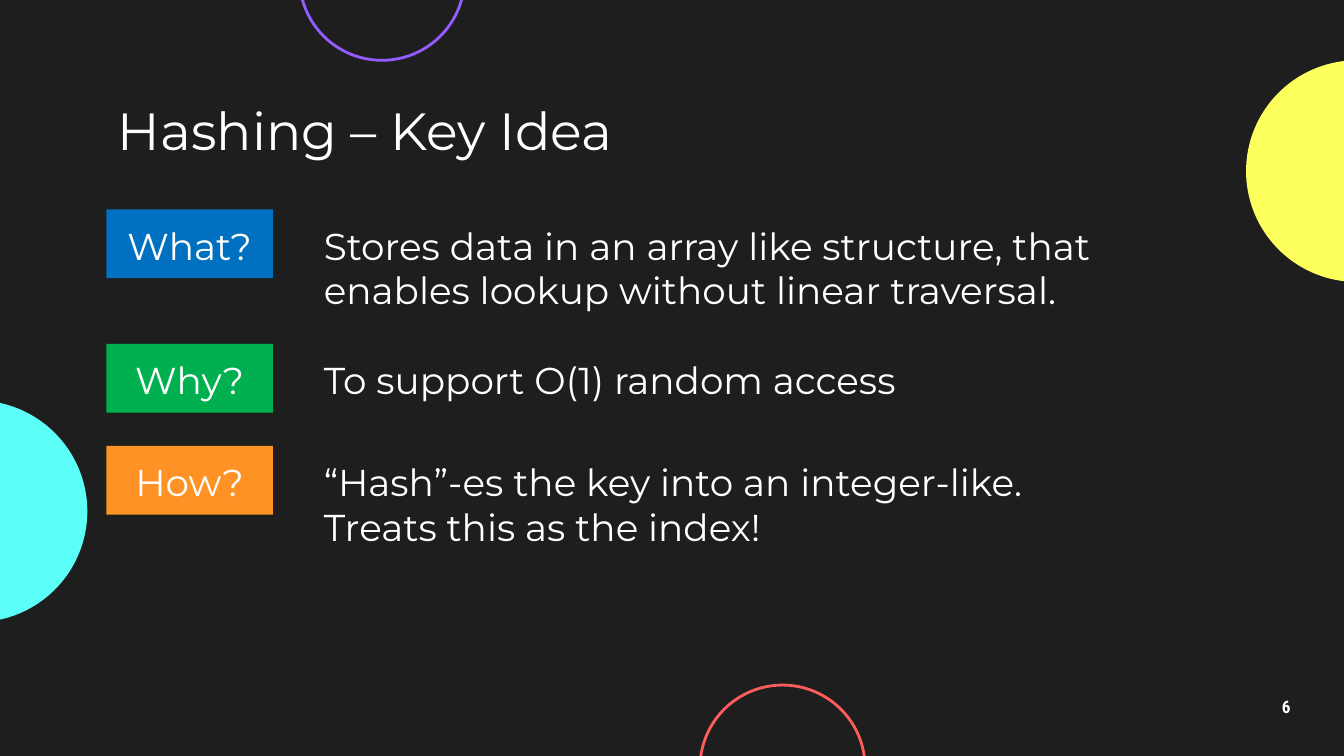
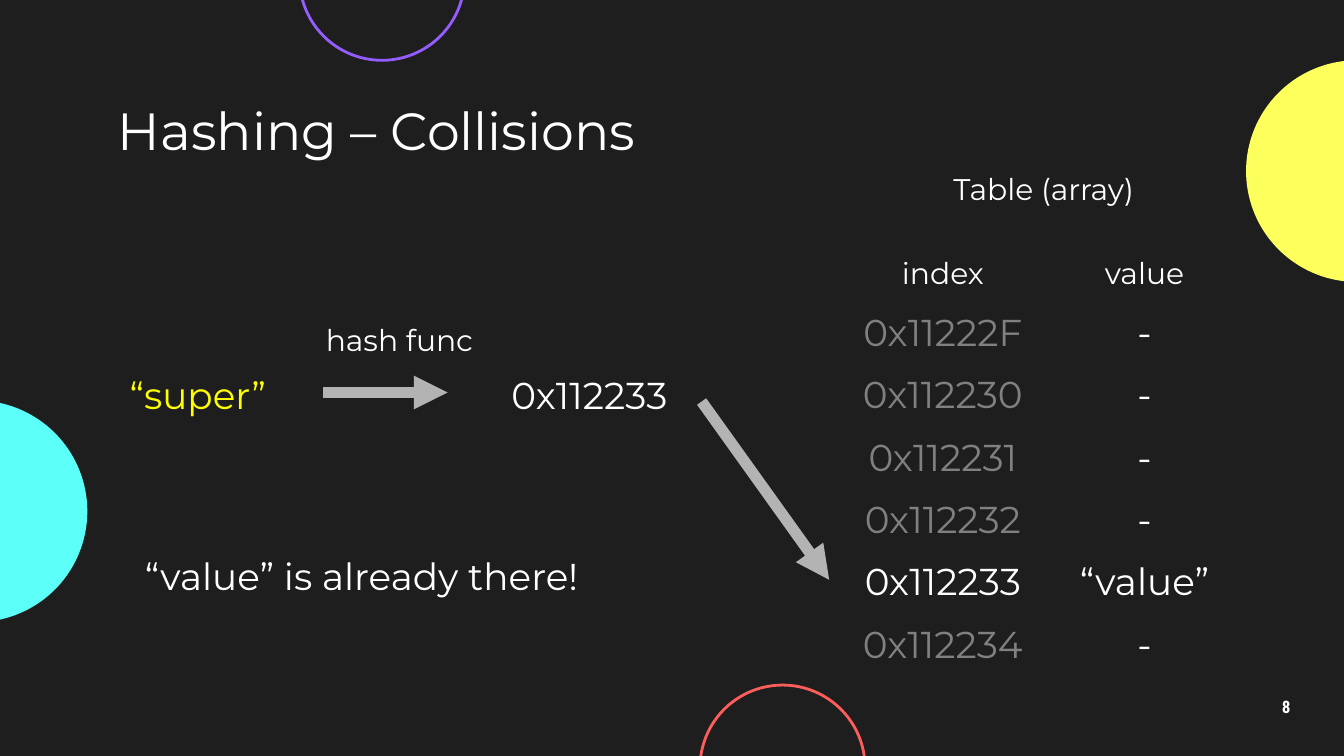
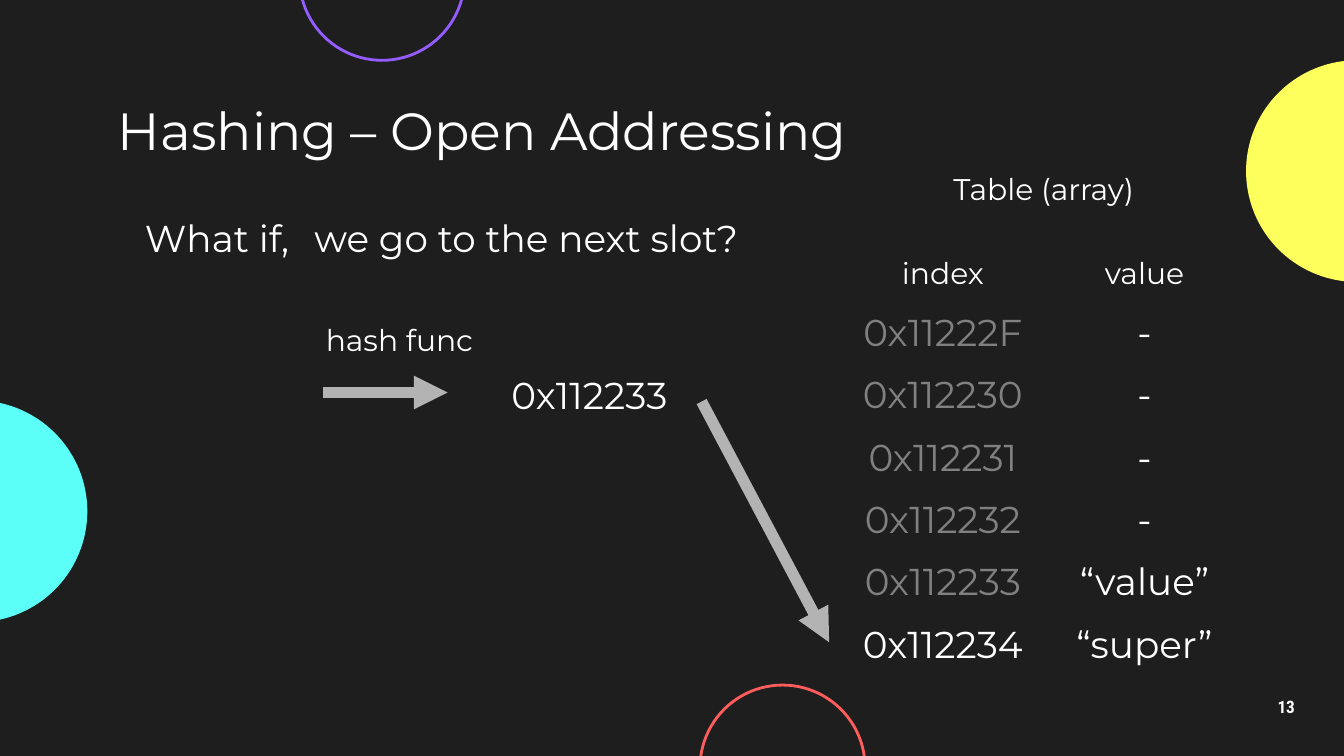
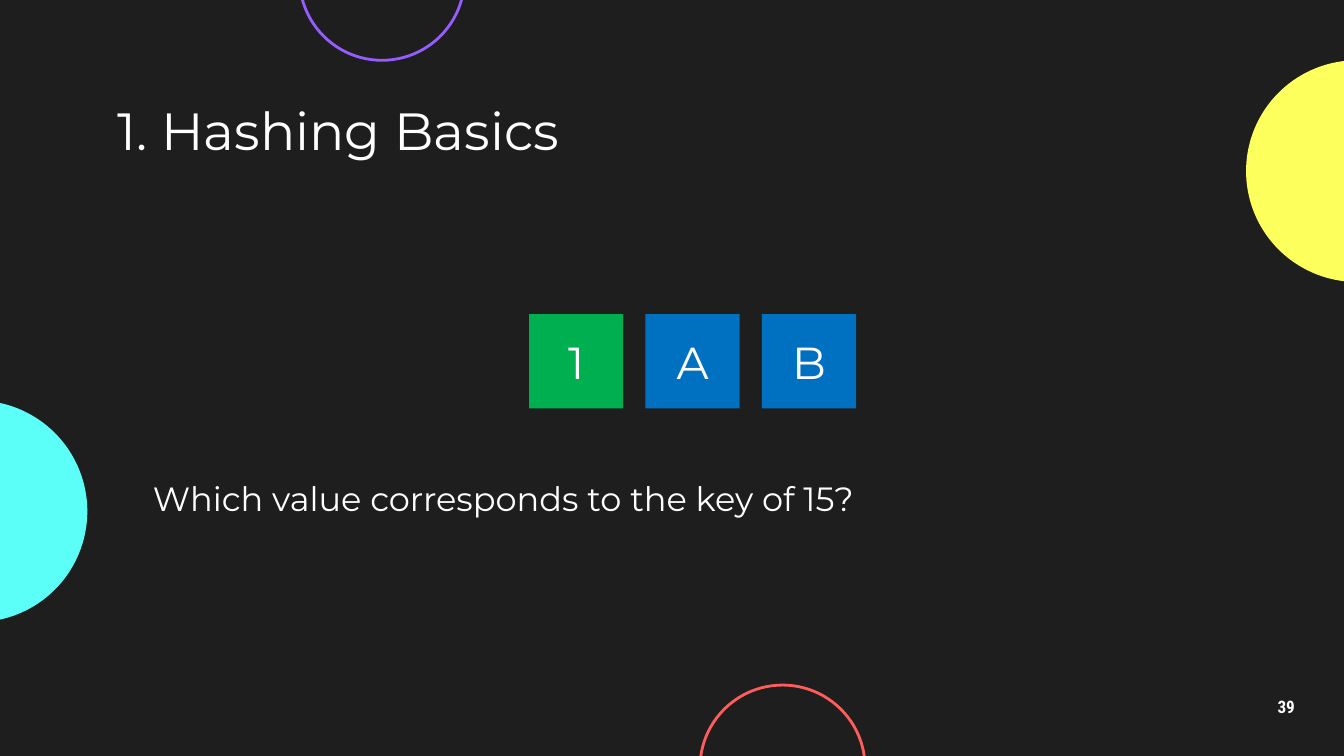
from lxml import etree
from pptx import Presentation
from pptx.dml.color import RGBColor
from pptx.enum.shapes import MSO_CONNECTOR as Connector, MSO_SHAPE as Preset
from pptx.enum.text import MSO_ANCHOR as Anchor, MSO_AUTO_SIZE as AutoSize, PP_ALIGN as Align
from pptx.oxml.ns import qn
from pptx.util import Cm, Pt

COLORS = {
    "background": "1E1E1E", "white": "FFFFFF", "gray": "808080", "arrow": "B3B3B3",
    "cyan": "5CFFF8", "lemon": "FDFF5C", "purple": "955CFF", "red": "FF5C5C",
    "blue": "0070C0", "green": "00B050", "orange": "FF9225", "key": "FFFF00",
}
BODY_FONT = "Montserrat"
NUMBER_FONT = "Roboto Condensed"
ROW_HEIGHT = 1.3
CELL_WIDTH = 3.78
HEADER_WIDTH = 2.87
TEXT_WIDTH = 16.36
INDEX_LEFT, VALUE_LEFT = 15.93, 19.74
TABLE_TOP, ROW_STEP = 5.59, 1.18
INDEXES = ["0x11222F", "0x112230", "0x112231", "0x112232", "0x112233", "0x112234"]


def rgb(name):
    return RGBColor.from_string(COLORS[name])


class Deck:
    def __init__(self):
        self.presentation = Presentation()
        self.presentation.slide_width = Cm(25.4)
        self.presentation.slide_height = Cm(14.29)
        fill = self.presentation.slide_master.background.fill
        fill.solid()
        fill.fore_color.rgb = rgb("background")
        self.slide = None

    def new_slide(self, title, number):
        self.slide = self.presentation.slides.add_slide(self.presentation.slide_layouts[5])
        placeholder = self.slide.shapes.title
        placeholder.left, placeholder.top = Cm(1.98), Cm(1.8)
        placeholder.width, placeholder.height = Cm(21.44), Cm(ROW_HEIGHT)
        self.set_text(placeholder, title, size=28, anchor=Anchor.MIDDLE)
        self.shape(Preset.OVAL, -2.54, 7.57, 4.19, 4.19, fill="cyan")
        self.shape(Preset.OVAL, 23.55, 1.14, 4.19, 4.19, fill="lemon")
        self.shape(Preset.OVAL, 5.66, -1.98, 3.12, 3.12, line="purple")
        self.shape(Preset.OVAL, 13.23, 12.95, 3.12, 3.12, line="red")
        page = self.text(str(number), 23.55, 12.95, 1.52, 0.86, size=9.2, font=NUMBER_FONT,
                         bold=True, align=Align.CENTER, anchor=Anchor.MIDDLE)
        page.text_frame.paragraphs[0].line_spacing = 0.9

    def set_text(self, shape, text, size=20, color="white", font=BODY_FONT, bold=False,
                 align=Align.LEFT, anchor=Anchor.TOP):
        frame = shape.text_frame
        frame.text = text
        frame.word_wrap = True
        frame.auto_size = AutoSize.NONE
        frame.vertical_anchor = anchor
        frame.margin_left = frame.margin_right = Cm(0.25)
        frame.margin_top = frame.margin_bottom = Cm(0.25)
        for paragraph in frame.paragraphs:
            paragraph.alignment = align
            paragraph.font.size = Pt(size)
            paragraph.font.name = font
            paragraph.font.bold = bold
            paragraph.font.color.rgb = rgb(color)

    def text(self, text, left, top, width, height=ROW_HEIGHT, **style):
        box = self.slide.shapes.add_textbox(Cm(left), Cm(top), Cm(width), Cm(height))
        self.set_text(box, text, **style)
        return box

    def cell(self, text, left, top, width=CELL_WIDTH, **style):
        self.text(text, left, top, width, align=Align.CENTER, **style)

    def shape(self, preset, left, top, width, height, fill=None, line=None):
        shape = self.slide.shapes.add_shape(preset, Cm(left), Cm(top), Cm(width), Cm(height))
        shape.shadow.inherit = False
        if fill:
            shape.fill.solid()
            shape.fill.fore_color.rgb = rgb(fill)
        else:
            shape.fill.background()
        if line:
            shape.line.color.rgb = rgb(line)
            shape.line.width = Pt(1.5)
        else:
            shape.line.fill.background()
        return shape

    def block(self, text, left, top, width, height, fill, **style):
        shape = self.shape(Preset.RECTANGLE, left, top, width, height, fill=fill)
        self.set_text(shape, text, align=Align.CENTER, **style)

    def arrow(self, start_x, start_y, end_x, end_y):
        connector = self.slide.shapes.add_connector(
            Connector.STRAIGHT, Cm(start_x), Cm(start_y), Cm(end_x), Cm(end_y))
        connector.line.color.rgb = rgb("arrow")
        connector.line.width = Pt(6)
        properties = connector._element.spPr
        etree.SubElement(properties.find(qn("a:ln")), qn("a:tailEnd"), type="triangle")
        etree.SubElement(properties, qn("a:effectLst"))

    def hash_table(self, values, target):
        self.cell("hash func", 5.66, 5.84, size=16)
        self.arrow(6.1, 7.42, 8.46, 7.42)
        self.cell("0x112233", 9.25, 6.78)
        self.cell("Table (array)", 17.2, 2.97, width=5.05, size=16)
        for header, left in (("index", INDEX_LEFT), ("value", VALUE_LEFT)):
            self.cell(header, left + (CELL_WIDTH - HEADER_WIDTH) / 2, 4.57,
                      width=HEADER_WIDTH, size=16)
        for row, index in enumerate(INDEXES):
            top = TABLE_TOP + row * ROW_STEP
            self.cell(index, INDEX_LEFT, top, color="white" if row == target else "gray")
            self.cell(values.get(row, "-"), VALUE_LEFT, top)
        self.arrow(13.26, 7.59, 15.67, TABLE_TOP + target * ROW_STEP + ROW_HEIGHT / 2)


def key_idea(deck):
    deck.new_slide("Hashing – Key Idea", 6)
    rows = [
        ("What?", "blue", 3.96,
         "Stores data in an array like structure, that enables lookup without linear traversal."),
        ("Why?", "green", 6.5, "To support O(1) random access"),
        ("How?", "orange", 8.43,
         "“Hash”-es the key into an integer-like.\nTreats this as the index!"),
    ]
    for question, fill, top, answer in rows:
        deck.block(question, 2.01, top, 3.15, ROW_HEIGHT, fill)
        deck.text(answer, 5.87, top, TEXT_WIDTH)


def collisions(deck):
    deck.new_slide("Hashing – Collisions", 8)
    deck.cell("“super”", 1.85, 6.78, color="key")
    deck.hash_table({4: "“value”"}, target=4)
    deck.text("“value” is already there!", 2.49, 10.21, TEXT_WIDTH)


def open_addressing(deck):
    deck.new_slide("Hashing – Open Addressing", 13)
    deck.hash_table({4: "“value”", 5: "“super”"}, target=5)
    deck.text("What if,", 2.49, 3.81, TEXT_WIDTH)
    deck.text("we go to the next slot?", 5.69, 3.81, TEXT_WIDTH)


def basics(deck):
    deck.new_slide("1. Hashing Basics", 39)
    for position, (label, fill) in enumerate((("1", "green"), ("A", "blue"), ("B", "blue"))):
        deck.block(label, 10 + position * 2.2, 5.94, 1.78, 1.78, fill,
                   size=24, anchor=Anchor.MIDDLE)
    deck.text("Which value corresponds to the key of 15?", 2.64, 8.79, 20.12, size=18)


def main():
    deck = Deck()
    for build in (key_idea, collisions, open_addressing, basics):
        build(deck)
    deck.presentation.save("out.pptx")


if __name__ == "__main__":
    main()
